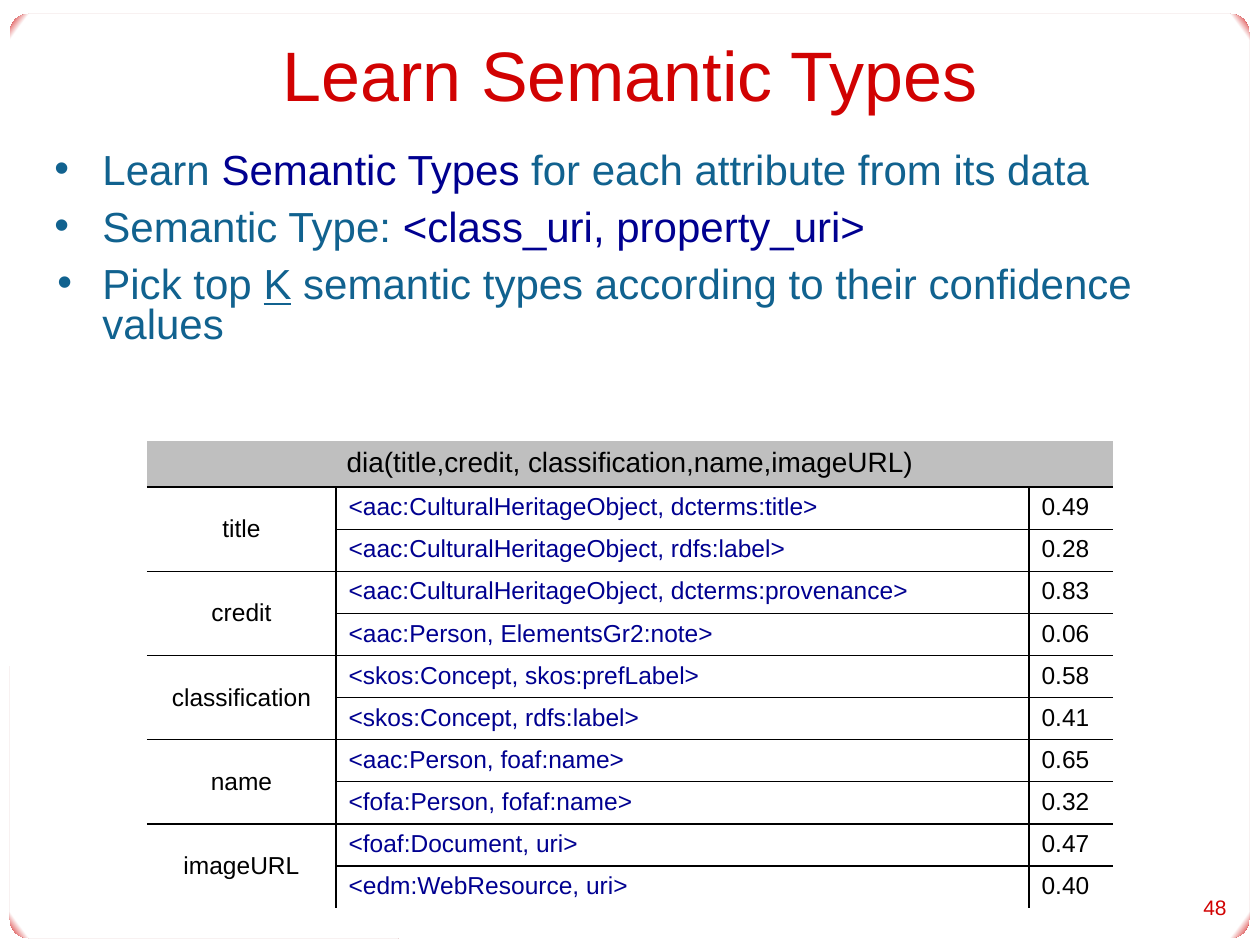
from lxml import etree
from pptx import Presentation
from pptx import util as u
from pptx.dml.color import RGBColor
from pptx.enum import shapes, text
from pptx.oxml import parse_xml
from pptx.oxml.ns import nsdecls, qn

PX = 914400 / 126
C = {"red": "D10202", "teal": "11628F", "navy": "000090", "black": "000000", "gray": "BFBFBF", "white": "FFFFFF"}


def px(n):
    return u.Emu(round(n * PX))


def style(r, size, color):
    r.font.name = "Arial"
    r.font.size = u.Pt(size)
    r.font.color.rgb = RGBColor.from_string(C[color])


prs = Presentation()
prs.slide_width, prs.slide_height = px(1260), px(945)
s = prs.slides.add_slide(prs.slide_layouts[6])

sp = s.shapes.add_shape(shapes.MSO_SHAPE.ROUNDED_RECTANGLE, px(10), px(14), px(1239), px(924))
sp.adjustments[0] = 0.02
sp.shadow.inherit = False
sp.line.fill.background()
stops = "".join(
    f'<a:gs pos="{pos * 1000}"><a:srgbClr val="{C[color]}"/></a:gs>'
    for pos, color in [(0, "white"), (98, "white"), (100, "red")]
)
grad = parse_xml(
    f'<a:gradFill {nsdecls("a")} rotWithShape="1"><a:gsLst>{stops}</a:gsLst><a:path path="circle">'
    '<a:fillToRect l="50000" t="50000" r="50000" b="50000"/></a:path></a:gradFill>'
)
sp._element.spPr.find(qn("a:prstGeom")).addnext(grad)

labels = [
    ("Learn Semantic Types", 42, 21, 1176, 105, 40, text.PP_ALIGN.CENTER),
    ("48", 1166, 887, 73, 40, 12, text.PP_ALIGN.RIGHT),
]
for words, x, y, w, h, size, align in labels:
    tf = s.shapes.add_textbox(px(x), px(y), px(w), px(h)).text_frame
    tf.word_wrap = True
    tf.vertical_anchor = text.MSO_ANCHOR.MIDDLE
    tf.text = words
    p = tf.paragraphs[0]
    p.alignment = align
    style(p.runs[0], size, "red")

bullets = [
    (-53, 0, [("Learn ", "teal"), ("Semantic Types ", "navy"), ("for each attribute from its data", "teal")]),
    (-53, 9.5, [("Semantic Type: ", "teal"), ("<class_uri, property_uri>", "navy")]),
    (-45, 9.6, [("Pick top ", "teal"), ("K", "teal"), (" semantic types according to their confidence values", "teal")]),
]
tf = s.shapes.add_textbox(px(42), px(147), px(1176), px(284)).text_frame
tf.word_wrap = True
for i, (indent, before, parts) in enumerate(bullets):
    p = tf.add_paragraph() if i else tf.paragraphs[0]
    p.line_spacing = 0.8
    p.space_before = u.Pt(before)
    pPr = p._p.get_or_add_pPr()
    pPr.set("marL", str(px(48)))
    pPr.set("indent", str(px(indent)))
    color = etree.SubElement(pPr, qn("a:buClr"))
    etree.SubElement(color, qn("a:srgbClr"), val=C["teal"])
    etree.SubElement(pPr, qn("a:buFont"), typeface="Arial")
    etree.SubElement(pPr, qn("a:buChar"), char="•")
    for words, name in parts:
        r = p.add_run()
        r.text = words
        style(r, 24, name)
        if words == "K":
            r.font.underline = True

types = [
    ("title", "<aac:CulturalHeritageObject, dcterms:title>", "0.49"),
    ("", "<aac:CulturalHeritageObject, rdfs:label>", "0.28"),
    ("credit", "<aac:CulturalHeritageObject, dcterms:provenance>", "0.83"),
    ("", "<aac:Person, ElementsGr2:note>", "0.06"),
    ("classification", "<skos:Concept, skos:prefLabel>", "0.58"),
    ("", "<skos:Concept, rdfs:label>", "0.41"),
    ("name", "<aac:Person, foaf:name>", "0.65"),
    ("", "<fofa:Person, fofaf:name>", "0.32"),
    ("imageURL", "<foaf:Document, uri>", "0.47"),
    ("", "<edm:WebResource, uri>", "0.40"),
]
rows = [("dia(title,credit, classification,name,imageURL)", "", "")] + types
tbl = s.shapes.add_table(len(rows), 3, px(147), px(441), px(966), px(444)).table
tbl.first_row = tbl.horz_banding = False
tbl._tbl.tblPr[0].text = "{2D5ABB26-0587-4C30-8999-92F81FD0307C}"
for column, width in zip(tbl.columns, (189, 693, 84)):
    column.width = px(width)
tbl.cell(0, 0).merge(tbl.cell(0, 2))
for top in range(1, len(rows), 2):
    tbl.cell(top, 0).merge(tbl.cell(top + 1, 0))

for i, row in enumerate(rows):
    tbl.rows[i].height = px(40 if i else 44)
    for j, words in enumerate(row):
        cell = tbl.cell(i, j)
        if i:
            cell.fill.background()
        else:
            cell.fill.solid()
            cell.fill.fore_color.rgb = RGBColor.from_string(C["gray"])
        if words:
            cell.text = words
            p = cell.text_frame.paragraphs[0]
            style(p.runs[0], 14 if i else 16, "navy" if i and j == 1 else "black")
            if j == 0:
                p.alignment = text.PP_ALIGN.CENTER
                if i:
                    cell.vertical_anchor = text.MSO_ANCHOR.MIDDLE
        sides = [
            ("lnL", i > 0 and j == 1),
            ("lnR", i > 0 and j == 0),
            ("lnT", i % 2 == 1),
            ("lnB", i % 2 == 0 and i < len(rows) - 1 or j == 0 and i in (1, 3, 5, 7)),
        ]
        tcPr = cell._tc.get_or_add_tcPr()
        drawn = [side for side, shown in sides if shown]
        for k, side in enumerate(drawn):
            line = parse_xml(
                f'<a:{side} {nsdecls("a")} w="12700"><a:solidFill>'
                f'<a:srgbClr val="{C["black"]}"/></a:solidFill></a:{side}>'
            )
            tcPr.insert(k, line)

prs.save("out.pptx")
